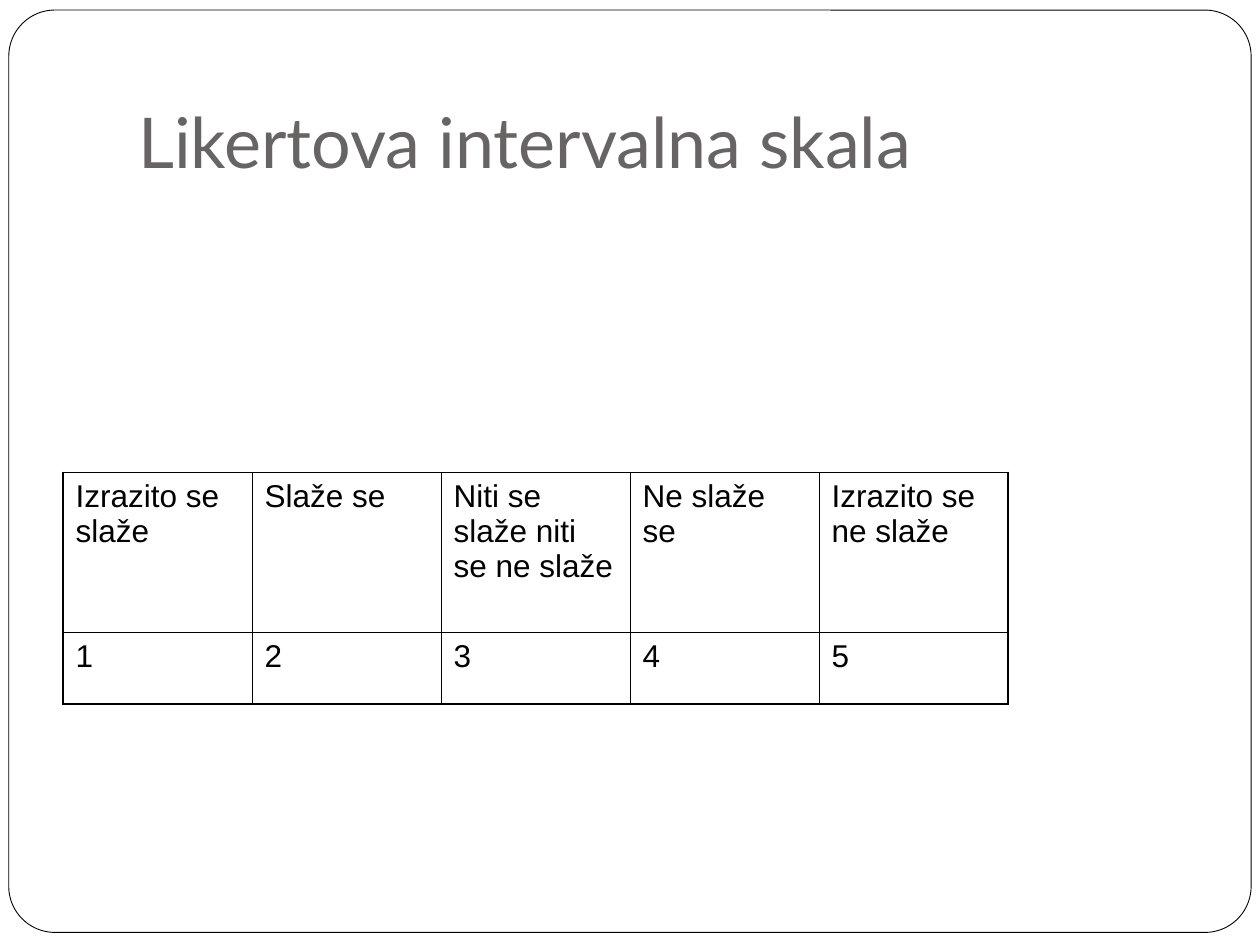
"""Builds a slide showing the five-point Likert interval scale."""
from lxml.etree import SubElement
from pptx import Presentation
from pptx.dml.color import RGBColor
from pptx.enum.shapes import MSO_SHAPE
from pptx.enum.text import MSO_ANCHOR
from pptx.oxml.ns import qn
from pptx.util import Inches, Pt


def color(hex_value):
    return RGBColor.from_string(hex_value)


def write(frame, text, font="Arial", size=18, ink="000000", before=0):
    frame.word_wrap = True
    paragraph = frame.paragraphs[0]
    paragraph.space_before = Pt(before)
    run = paragraph.add_run()
    run.text = text
    run.font.name = font
    run.font.size = Pt(size)
    run.font.color.rgb = color(ink)


deck = Presentation()
deck.slide_width, deck.slide_height = Inches(10), Inches(7.5)
slide = deck.slides.add_slide(deck.slide_layouts[6])

border = slide.shapes.add_shape(
    MSO_SHAPE.ROUNDED_RECTANGLE, Inches(0.07), Inches(0.08), Inches(9.86), Inches(7.32))
border.adjustments[0] = 0.05
border.shadow.inherit = False
border.fill.solid()
border.fill.fore_color.rgb = color("FFFFFF")
border.line.color.rgb = color("000000")
border.line.width = Pt(0.5)

title = slide.shapes.add_textbox(Inches(1), Inches(0.3), Inches(8.5), Inches(1.25)).text_frame
title.vertical_anchor = MSO_ANCHOR.BOTTOM
title.margin_bottom = Inches(0.1)
write(title, "Likertova intervalna skala", font="Lato", size=40, ink="696464")

answers = ["Izrazito se slaže", "Slaže se", "Niti se slaže niti se ne slaže",
           "Ne slaže se", "Izrazito se ne slaže"]
scale_rows = [answers, [str(score) for score in range(1, len(answers) + 1)]]
row_heights = [1.27, 0.57]
last_row, last_column = len(scale_rows) - 1, len(answers) - 1
scale = slide.shapes.add_table(
    len(scale_rows), len(answers), Inches(0.5), Inches(3.75),
    Inches(1.5 * len(answers)), Inches(sum(row_heights))).table

for r, (texts, height) in enumerate(zip(scale_rows, row_heights)):
    scale.rows[r].height = Inches(height)
    for c, text in enumerate(texts):
        cell = scale.cell(r, c)
        write(cell.text_frame, text, before=4.5)
        outer_sides = {"L": c == 0, "R": c == last_column, "T": r == 0, "B": r == last_row}
        properties = cell._tc.get_or_add_tcPr()
        for side, is_outer in outer_sides.items():
            edge = SubElement(properties, qn(f"a:ln{side}"), w=str(Pt(1.08 if is_outer else 0.45)))
            edge_fill = SubElement(edge, qn("a:solidFill"))
            SubElement(edge_fill, qn("a:srgbClr"), val="000000")
        cell.fill.background()

deck.save("out.pptx")
